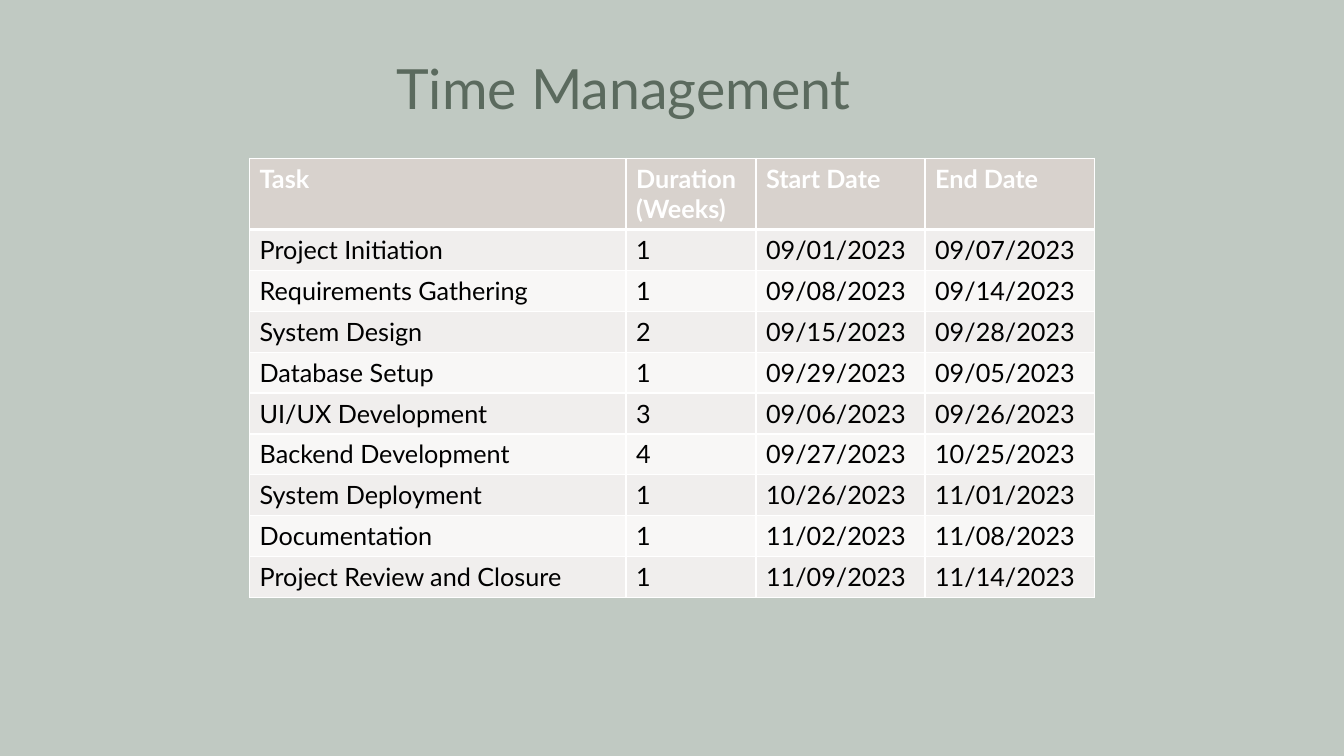
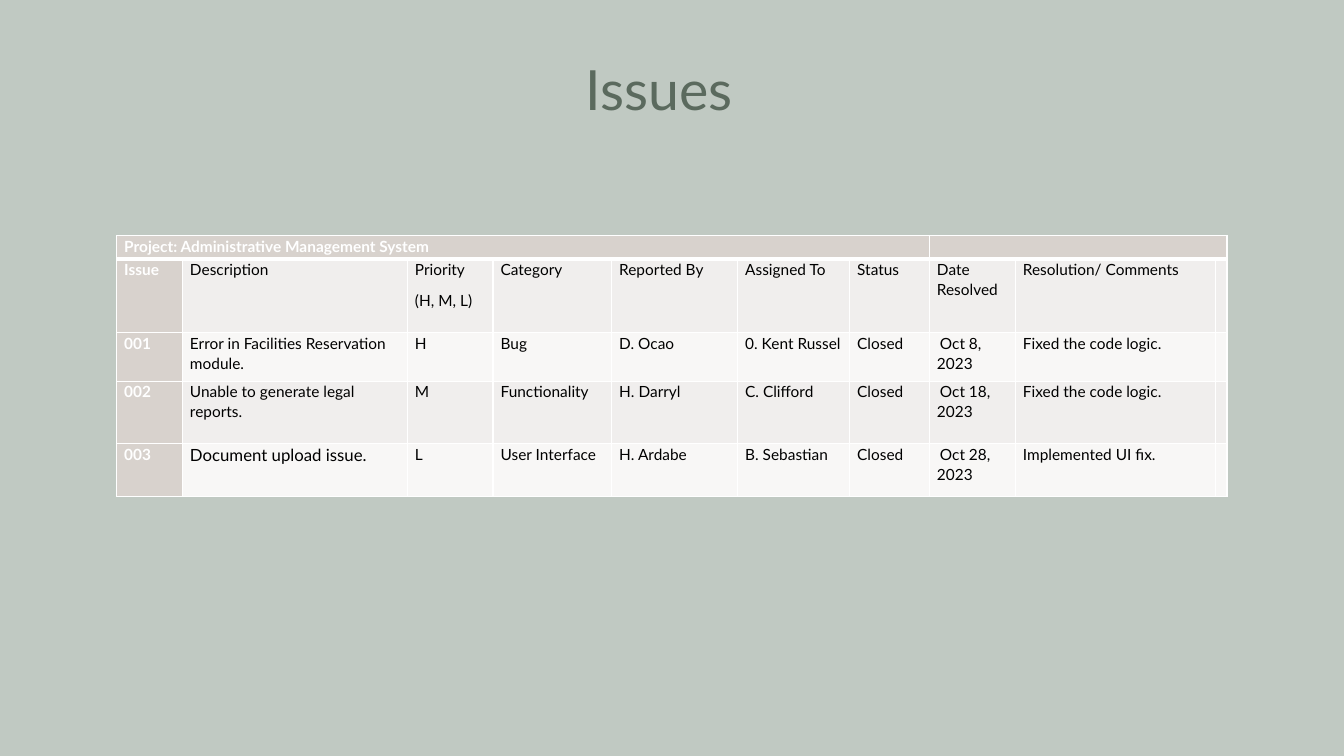
from lxml.etree import SubElement
from pptx import Presentation
from pptx.dml.color import RGBColor
from pptx.enum.text import MSO_ANCHOR
from pptx.oxml.ns import qn
from pptx.util import Pt

BACKGROUND = RGBColor(0xC0, 0xC9, 0xC2)
TITLE_GREEN = RGBColor(0x5B, 0x6A, 0x5E)
HEADER_FILL = RGBColor(0xD8, 0xD2, 0xCD)
BAND_FILLS = (RGBColor(0xF8, 0xF7, 0xF6), RGBColor(0xF0, 0xEE, 0xED))
WHITE = RGBColor(0xFF, 0xFF, 0xFF)
BLACK = RGBColor(0, 0, 0)
FONT = "Lato"

TASK_ROWS = [
    ("Task", "Duration (Weeks)", "Start Date", "End Date"),
    ("Project Initiation", "1", "09/01/2023", "09/07/2023"),
    ("Requirements Gathering", "1", "09/08/2023", "09/14/2023"),
    ("System Design", "2", "09/15/2023", "09/28/2023"),
    ("Database Setup", "1", "09/29/2023", "09/05/2023"),
    ("UI/UX Development", "3", "09/06/2023", "09/26/2023"),
    ("Backend Development", "4", "09/27/2023", "10/25/2023"),
    ("System Deployment", "1", "10/26/2023", "11/01/2023"),
    ("Documentation", "1", "11/02/2023", "11/08/2023"),
    ("Project Review and Closure", "1", "11/09/2023", "11/14/2023"),
]
ISSUE_ROWS = [
    ("Project: Administrative Management System",) + ("",) * 9,
    ("Issue", "Description", "Priority\n(H, M, L)", "Category", "Reported By",
     "Assigned To", "Status", "Date Resolved", "Resolution/ Comments", ""),
    ("001", "Error in Facilities Reservation module.", "H", "Bug", "D. Ocao",
     "0. Kent Russel", "Closed", "Oct 8, 2023", "Fixed the code logic.", ""),
    ("002", "Unable to generate legal reports.", "M", "Functionality", "H. Darryl",
     "C. Clifford", "Closed", "Oct 18, 2023", "Fixed the code logic.", ""),
    ("003", "Document upload issue.", "L", "User Interface", "H. Ardabe",
     "B. Sebastian", "Closed", "Oct 28, 2023", "Implemented UI fix.", ""),
]

TASK_FORMAT = {
    "size": 18,
    "cell": {"margin_left": Pt(7.2), "margin_right": Pt(7.2),
             "margin_top": Pt(3.6), "margin_bottom": Pt(3.6)},
    "paragraph": {},
    "header_column": False,
}
ISSUE_FORMAT = {
    "size": 11,
    "cell": {"margin_left": Pt(5.4), "margin_right": Pt(5.4),
             "margin_top": Pt(0), "margin_bottom": Pt(0)},
    "paragraph": {"line_spacing": 1.07, "space_after": Pt(8)},
    "header_column": True,
}


def add_titled_slide(title, left, top, width):
    slide = presentation.slides.add_slide(presentation.slide_layouts[6])
    slide.background.fill.solid()
    slide.background.fill.fore_color.rgb = BACKGROUND
    shape = slide.shapes.add_textbox(Pt(left), Pt(top), Pt(width), Pt(52))
    shape.text_frame.word_wrap = True
    shape.text_frame.vertical_anchor = MSO_ANCHOR.MIDDLE
    paragraph = shape.text_frame.paragraphs[0]
    paragraph.text = title
    paragraph.line_spacing = 0.9
    paragraph.font.color.rgb = TITLE_GREEN
    for name, value in {"name": FONT, "size": Pt(39.6)}.items():
        setattr(paragraph.runs[0].font, name, value)
    paragraph.runs[0].font.color.rgb = TITLE_GREEN
    return slide


def add_styled_table(slide, left, top, widths, heights, rows, formats):
    table = slide.shapes.add_table(
        len(rows), len(widths), Pt(left), Pt(top), Pt(sum(widths)), Pt(sum(heights))
    ).table
    table.first_row = table.horz_banding = False
    for column, width in zip(table.columns, widths):
        column.width = Pt(width)
    for row, height in zip(table.rows, heights):
        row.height = Pt(height)
    for row_index, texts in enumerate(rows):
        for column_index, text in enumerate(texts):
            cell = table.cell(row_index, column_index)
            cell.text = text
            for name, value in formats["cell"].items():
                setattr(cell, name, value)
            properties = cell._tc.get_or_add_tcPr()
            line_widths = {"lnL": 1, "lnR": 1, "lnT": 3 if row_index == 1 else 1,
                           "lnB": 3 if row_index == 0 else 1}
            for tag, line_width in line_widths.items():
                line = SubElement(properties, qn("a:" + tag), w=str(Pt(line_width)))
                SubElement(SubElement(line, qn("a:solidFill")), qn("a:srgbClr"), val=str(WHITE))
            header = row_index == 0 or (formats["header_column"] and column_index == 0)
            cell.fill.solid()
            cell.fill.fore_color.rgb = HEADER_FILL if header else BAND_FILLS[row_index % 2]
            for paragraph in cell.text_frame.paragraphs:
                for name, value in formats["paragraph"].items():
                    setattr(paragraph, name, value)
                for run in paragraph.runs:
                    font_values = {"name": FONT, "size": Pt(formats["size"]), "bold": header}
                    for name, value in font_values.items():
                        setattr(run.font, name, value)
                    run.font.color.rgb = WHITE if header else BLACK
                if not text:
                    cell.margin_left = cell.margin_right = Pt(0)
                    SubElement(paragraph._p, qn("a:endParaRPr"), sz=str(formats["size"] * 100))
    return table


presentation = Presentation()
presentation.slide_width = Pt(960)
presentation.slide_height = Pt(540)

time_slide = add_titled_slide("Time Management", 276, 39.5, 407)
add_styled_table(time_slide, 178.3, 113, [268.9, 92.8, 120.8, 120.8],
                 [51] + [29.2] * 9, TASK_ROWS, TASK_FORMAT)

issues_slide = add_titled_slide("Issues", 411.2, 40, 137.5)
issues_table = add_styled_table(
    issues_slide, 83.3, 168.2, [47, 160.7, 61.2, 84.7, 90, 80, 57, 61.4, 143, 8.2],
    [17, 52.4, 34.7, 44.7, 38], ISSUE_ROWS, ISSUE_FORMAT)
issues_table.cell(0, 0).merge(issues_table.cell(0, 6))
issues_table.cell(0, 7).merge(issues_table.cell(0, 9))
issues_table.cell(4, 1).text_frame.paragraphs[0].runs[0].font.size = Pt(12)
for row_index in range(2, len(ISSUE_ROWS)):
    date_paragraph = issues_table.cell(row_index, 7).text_frame.paragraphs[0]
    date_paragraph._p.get_or_add_pPr().set("indent", str(Pt(2.1)))

presentation.save("out.pptx")
